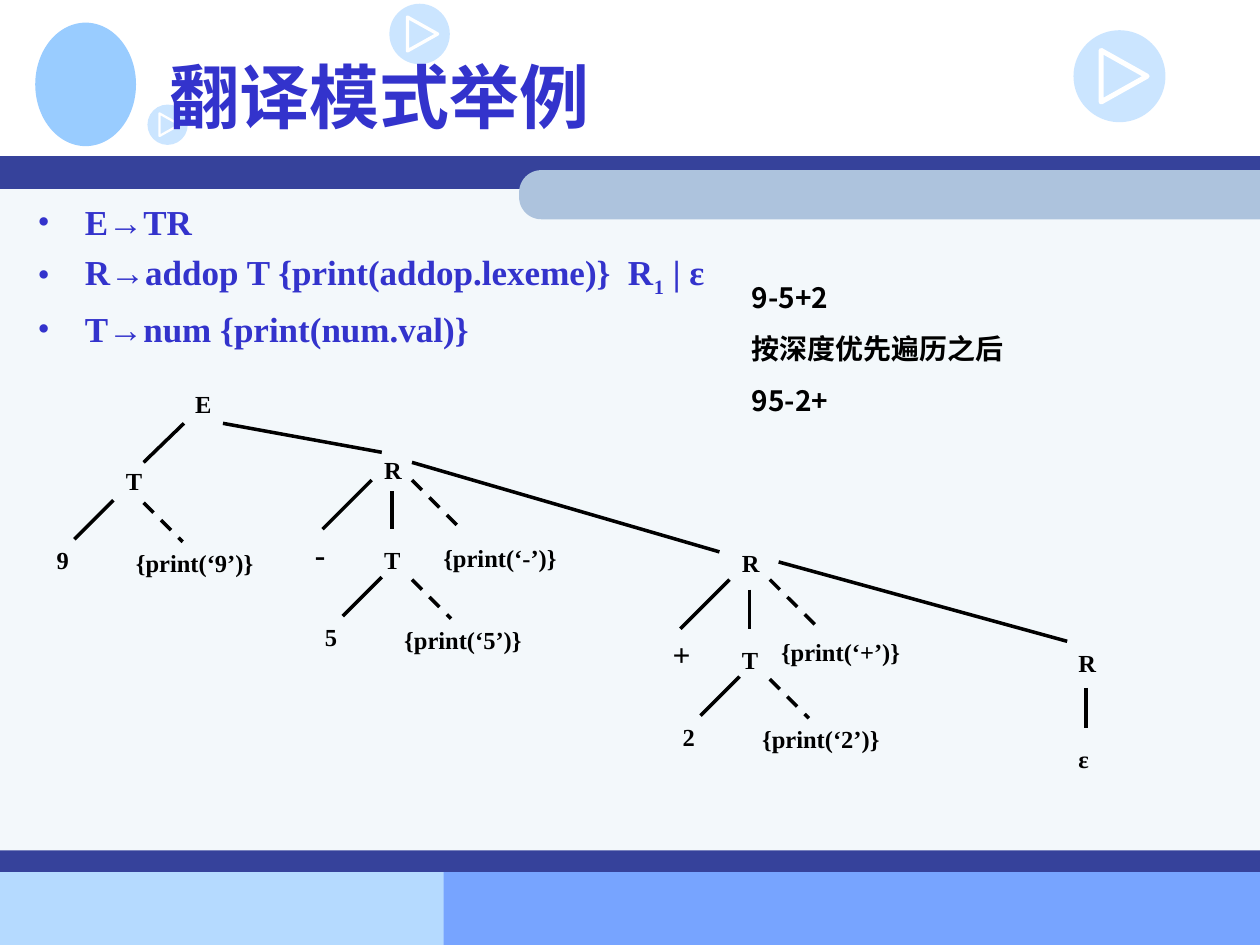
import pptx
import pptx.dml.color
import pptx.enum.dml
import pptx.enum.shapes
import pptx.enum.text
import pptx.oxml
import pptx.oxml.ns
import pptx.util

SHAPE = pptx.enum.shapes.MSO_SHAPE
ANCHOR = pptx.enum.text.MSO_ANCHOR
SERIF, CJK = "Times New Roman", "Noto Sans CJK SC"
BLUE, NAVY, SKY, BLACK, WHITE = "3333CC", "36429B", "99CCFF", "000000", "FFFFFF"
BOX_W, BOX_H = 3.2, 3.4      # a one-letter node of the tree


def color(value):
    return pptx.dml.color.RGBColor.from_string(value)


def child(parent, tag, **attrs):
    el = pptx.oxml.ns.qn(tag)
    node = parent.makeelement(el, attrs)
    parent.append(node)
    return node


class Deck:
    """Current slide on a grid of 100 columns by 75 rows."""

    def __init__(self):
        self.prs = pptx.Presentation()
        self.prs.slide_width = pptx.util.Inches(10)
        self.prs.slide_height = pptx.util.Inches(7.5)
        self.col = self.prs.slide_width / 100
        self.row = self.prs.slide_height / 75
        self.slide = self.prs.slides.add_slide(self.prs.slide_layouts[6])

    def at(self, x, y):
        return round(x * self.col), round(y * self.row)

    def shape(self, kind, x, y, w, h, fill, alpha=None):
        sp = self.slide.shapes.add_shape(kind, *self.at(x, y), *self.at(w, h))
        sp.shadow.inherit = False
        sp.fill.solid()
        sp.fill.fore_color.rgb = color(fill)
        sp.line.fill.background()
        if alpha:
            clr = sp.fill._xPr.find(".//" + pptx.oxml.ns.qn("a:srgbClr"))
            child(clr, "a:alpha", val=str(alpha * 1000))
        return sp

    def play_icon(self, x, y, size):
        self.shape(SHAPE.OVAL, x, y, size, size, SKY, alpha=50)
        corners = [self.at(x + size * u, y + size * v)
                   for u, v in ((0.3, 0.22), (0.8, 0.5), (0.3, 0.78))]
        builder = self.slide.shapes.build_freeform(*corners[0])
        builder.add_line_segments(corners[1:], close=True)
        sp = builder.convert_to_shape()
        sp.shadow.inherit = False
        sp.fill.background()
        sp.line.color.rgb = color(WHITE)
        sp.line.width = pptx.util.Pt(round(size * 0.4, 1))

    def text(self, x, y, w, h, paragraphs, size, font=SERIF, fill=BLACK,
             before=0, bullet=False, wrap=True, anchor=ANCHOR.TOP):
        """Each paragraph is a list of (text, baseline) runs."""
        sp = self.slide.shapes.add_textbox(*self.at(x, y), *self.at(w, h))
        tf = sp.text_frame
        tf.word_wrap = wrap
        tf.vertical_anchor = anchor
        for i, runs in enumerate(paragraphs):
            p = tf.paragraphs[0] if i == 0 else tf.add_paragraph()
            if i:
                p.space_before = pptx.util.Pt(before)
            if bullet:
                self.bullet(p, fill)
            for text, baseline in runs:
                r = p.add_run()
                r.text = text
                r.font.size = pptx.util.Pt(size)
                r.font.bold = True
                r.font.name = font
                r.font.color.rgb = color(fill)
                rPr = r._r.get_or_add_rPr()
                child(rPr, "a:ea", typeface=font)
                if baseline:
                    rPr.set("baseline", str(baseline * 1000))
        return sp

    def bullet(self, p, fill):
        pPr = p._p.get_or_add_pPr()
        indent = round(3.75 * self.col)
        pPr.set("marL", str(indent))
        pPr.set("indent", str(-indent))
        child(child(pPr, "a:buClr"), "a:srgbClr", val=fill)
        child(pPr, "a:buFont", typeface=SERIF)
        child(pPr, "a:buChar", char="•")

    def node(self, x, y, text, w=BOX_W, h=BOX_H, size=14):
        return self.text(x, y, w, h, [[(text, 0)]], size, wrap=False)

    def action(self, x, y, symbol):
        self.node(x, y, f"{{print(‘{symbol}’)}}", w=11.8)

    def edge(self, x1, y1, x2, y2, dashed=False, begin=None, end=None):
        straight = pptx.enum.shapes.MSO_CONNECTOR.STRAIGHT
        ln = self.slide.shapes.add_connector(
            straight, *self.at(x1, y1), *self.at(x2, y2))
        ln.line.color.rgb = color(BLACK)
        ln.line.width = pptx.util.Pt(2)
        if dashed:
            ln.line.dash_style = pptx.enum.dml.MSO_LINE.DASH
        child(ln._element.spPr, "a:effectLst")
        if begin is not None:
            ln.begin_connect(begin, 2)
        if end is not None:
            ln.end_connect(end, 0)

    def term(self, x, y, digit):
        """Branches below a T: the number and its print action."""
        self.edge(x + 0.8, y + 3, x - 2.3, y + 6.1)
        self.node(x - 4.7, y + 6.1, digit)
        self.edge(x + 3.2, y + 3.2, x + 6.3, y + 6.3, dashed=True)
        self.action(x + 1.6, y + 6.3, digit)

    def rest(self, x, y, sign, digit, action_dx, action_dy, parent=None):
        """Branches below an R: the sign, a T and a print action."""
        op = self.node(x - 5.5, y + 6.4, sign, h=4, size=18)
        self.edge(x, y + 2.5, x - 3.9, y + 6.4, end=op)
        self.edge(x + 1.6, y + 3.3, x + 1.6, y + 6.4, begin=parent)
        self.edge(x + 3.2, y + 2.5, x + 7.1, y + 6.4, dashed=True)
        self.node(x, y + 7.2, "T")
        self.action(x + action_dx, y + action_dy, sign)
        self.term(x, y + 7.2, digit)


def main():
    deck = Deck()

    # Background bands
    for band in ((0, 69.2, 42.5, 5.8, "B5DAFF"), (35.2, 69.1, 64.8, 5.9, "77A4FF"),
                 (0, 14, 100, 55.1, "F3F8FB"), (0, 12.4, 100, 2.6, NAVY),
                 (0, 67.5, 100, 1.7, NAVY)):
        deck.shape(SHAPE.RECTANGLE, *band)

    # Tab with a rounded left end: an upright shape turned a quarter to the left
    left, top, width, height = 41.2, 13.5, 58.8, 3.9
    tab = deck.shape(SHAPE.ROUND_2_SAME_RECTANGLE, left + (width - height) / 2,
                     top + (height - width) / 2, height, width, "ADC3DD")
    tab.rotation = 270
    tab.adjustments[0] = 0.45

    # Emblem and play icons
    deck.shape(SHAPE.OVAL, 2.8, 1.8, 8, 9.8, SKY)
    for icon in ((30.9, 0.3, 4.8), (85.2, 2.4, 7.3), (11.7, 8.3, 3.2)):
        deck.play_icon(*icon)

    # Title and grammar rules
    deck.text(12.5, 1.7, 85, 11.7, [[("翻译模式举例", 0)]], 40, CJK, BLUE,
              anchor=ANCHOR.MIDDLE)
    deck.text(2, 15.4, 96.1, 49.6,
              [[("E→TR", 0)],
               [("R→addop T {print(addop.lexeme)}  R", 0), ("1", -25), (" | ε", 0)],
               [("T→num {print(num.val)}", 0)]],
              20, SERIF, BLUE, before=5, bullet=True)

    # Parse tree: root and its T
    deck.node(14.5, 30.4, "E")
    deck.edge(14.6, 33.6, 11.4, 36.7)
    deck.node(9, 36.5, "T")
    deck.term(8.2, 36.7, "9")

    # Parse tree: chain of R nodes
    deck.edge(17.7, 33.6, 30.3, 35.9)
    minus = deck.node(29.5, 35.6, "R")
    deck.rest(29.5, 35.6, "-", "5", 4.7, 7, parent=minus)
    deck.edge(32.7, 36.7, 57.1, 43.8)
    deck.node(57.9, 43, "R")
    deck.rest(57.9, 43.5, "+", "2", 3.1, 6.6)
    deck.edge(61.8, 44.6, 84.7, 50.9)
    deck.node(84.6, 50.9, "R")
    deck.edge(86.2, 54.6, 86.2, 57.8)
    deck.node(84.6, 58.6, "ε")

    # Result of the traversal
    deck.text(58.7, 21.8, 32.3, 11.8,
              [[(line, 0)] for line in ("9-5+2", "按深度优先遍历之后", "95-2+")],
              16, CJK, before=10)

    deck.prs.save("out.pptx")


if __name__ == "__main__":
    main()
